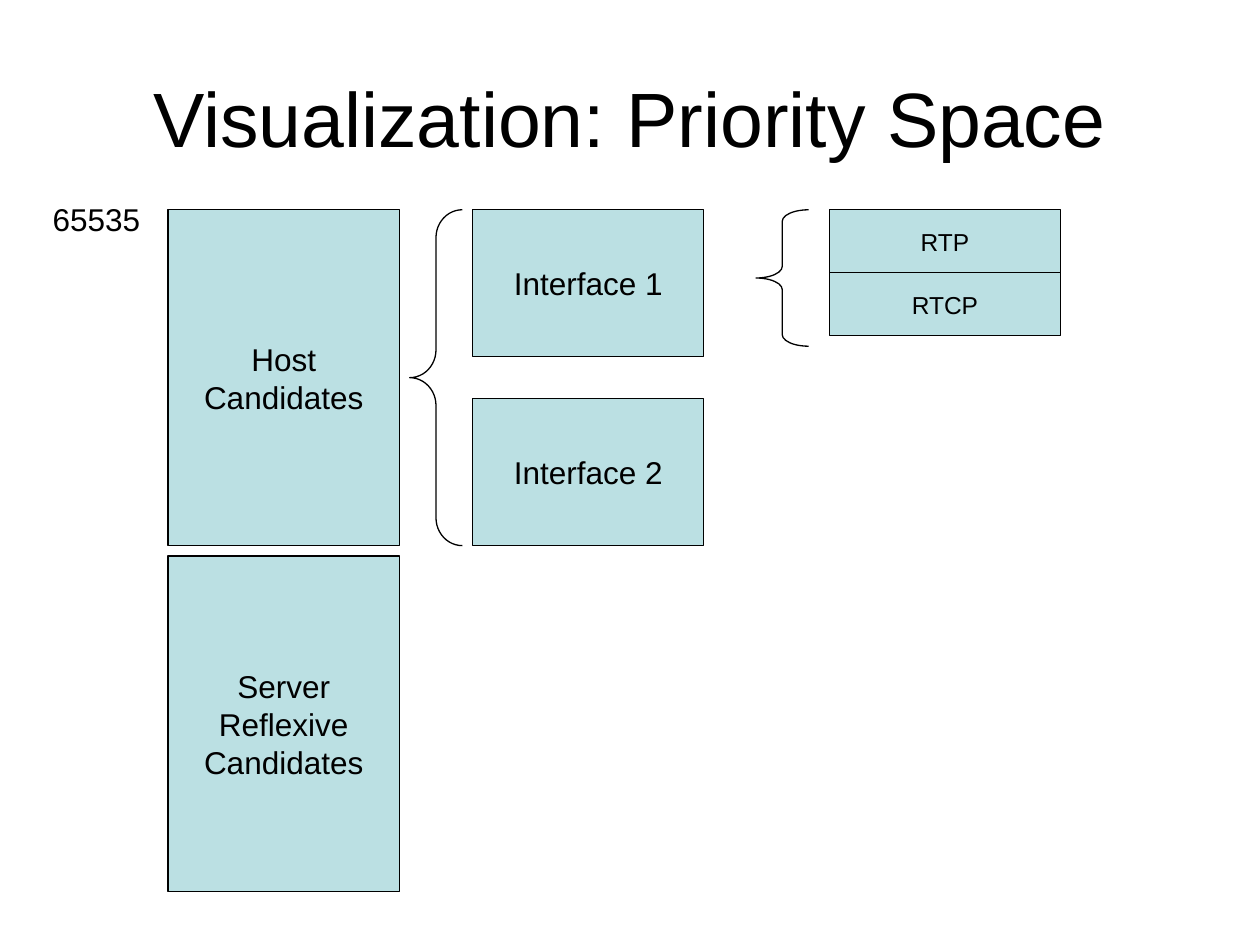
from pptx import Presentation
from pptx.dml.color import RGBColor
from pptx.enum.shapes import MSO_SHAPE
from pptx.enum.text import MSO_ANCHOR, MSO_AUTO_SIZE, PP_ALIGN
from pptx.util import Cm, Pt

COLORS = {"ink": "000000", "block": "BBE0E3"}
TOP = 4.23
BLOCK_WIDTH = 4.66
HOST_HEIGHT = 6.77


def format_text(tf, text, size, align, **frame):
    """Write one paragraph per line of text and format it."""
    for name, value in frame.items():
        setattr(tf, name, value)
    tf.text = text
    for p in tf.paragraphs:
        p.alignment = align
        for r in p.runs:
            for name, value in {"name": "Arial", "size": Pt(size)}.items():
                setattr(r.font, name, value)
            r.font.color.rgb = RGBColor.from_string(COLORS["ink"])


def place(sp, left, top, width, height):
    """Set the position and size of a shape in centimetres."""
    box = {"left": left, "top": top, "width": width, "height": height}
    for name, value in box.items():
        setattr(sp, name, Cm(value))


def add_outlined(s, kind, left, top, width, height):
    """Add a preset shape with a thin dark outline and no shadow."""
    sp = s.shapes.add_shape(kind, Cm(left), Cm(top), Cm(width), Cm(height))
    sp.shadow.inherit = False
    sp.line.color.rgb = RGBColor.from_string(COLORS["ink"])
    sp.line.width = Pt(0.75)
    return sp


def add_title(s, text, left, top, width, height):
    """Fill the title placeholder."""
    place(s.shapes.title, left, top, width, height)
    format_text(s.shapes.title.text_frame, text, 44, PP_ALIGN.CENTER,
                vertical_anchor=MSO_ANCHOR.MIDDLE, word_wrap=True)


def add_stack(s, labels, left, top, width, height, gap=0, size=18):
    """Divide a column into equal labelled blocks."""
    block = (height - gap * (len(labels) - 1)) / len(labels)
    for i, label in enumerate(labels):
        sp = add_outlined(s, MSO_SHAPE.RECTANGLE, left,
                          top + i * (block + gap), width, block)
        sp.fill.solid()
        sp.fill.fore_color.rgb = RGBColor.from_string(COLORS["block"])
        format_text(sp.text_frame, label, size, PP_ALIGN.CENTER,
                    vertical_anchor=MSO_ANCHOR.MIDDLE, word_wrap=False)


def add_brace(s, curl, left, top, width, height):
    """Add a left brace whose ends have the given curl."""
    sp = add_outlined(s, MSO_SHAPE.LEFT_BRACE, left, top, width, height)
    sp.fill.background()
    sp.adjustments[0] = curl


def add_top_value(s, text, left, top, width, height):
    """Add the highest priority value beside the first column."""
    sp = s.shapes.add_textbox(Cm(left), Cm(top), Cm(width), Cm(height))
    format_text(sp.text_frame, text, 18, PP_ALIGN.LEFT, word_wrap=False,
                auto_size=MSO_AUTO_SIZE.SHAPE_TO_FIT_TEXT)


def main():
    """Build and save the priority space slide."""
    prs = Presentation()
    prs.slide_width, prs.slide_height = Cm(25.4), Cm(19.05)
    s = prs.slides.add_slide(prs.slide_layouts[5])
    add_title(s, "Visualization: Priority Space", 1.27, 0.76, 22.86, 3.18)
    add_stack(s, ["Host\nCandidates", "Server\nReflexive\nCandidates"],
              3.39, TOP, BLOCK_WIDTH, 2 * HOST_HEIGHT + 0.21, gap=0.21)
    add_top_value(s, "65535", 0.81, 3.91, 2.29, 1.02)
    add_stack(s, ["Interface 1", "Interface 2"],
              9.53, TOP, BLOCK_WIDTH, HOST_HEIGHT, gap=0.85)
    add_brace(s, 0.53, 8.26, TOP, 1.06, HOST_HEIGHT)
    add_stack(s, ["RTP", "RTCP"], 16.72, TOP, BLOCK_WIDTH, 2.54, size=14)
    add_brace(s, 0.22, 15.24, TOP, 1.06, 2.75)
    prs.save("out.pptx")


if __name__ == "__main__":
    main()
